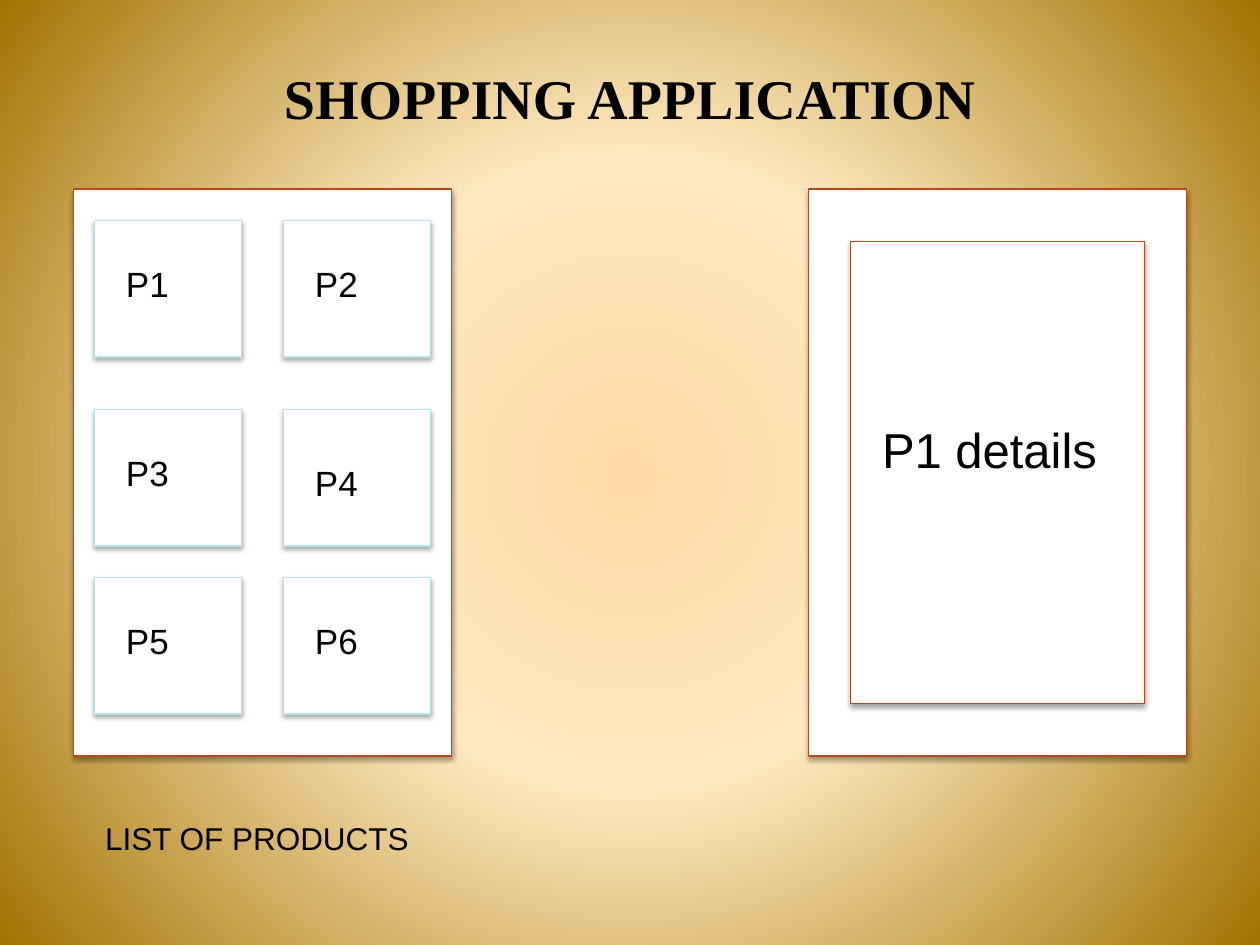
from lxml.etree import SubElement
from pptx import Presentation
from pptx.dml.color import RGBColor
from pptx.enum.shapes import MSO_SHAPE as Shape
from pptx.enum.text import MSO_AUTO_SIZE as AutoSize, PP_ALIGN as Align
from pptx.oxml.ns import qn
from pptx.util import Pt

COLORS = {"white": "FFFFFF", "black": "000000", "rust": "B64A1D", "aqua": "BBE0E3",
          "peach": "FFDAA7", "cream": "FFE9C1", "bronze": "A17302"}
BACKGROUND_STOPS = [(0, "peach"), (40, "cream"), (100, "bronze")]

# Content: all lengths in points
PANELS = [(42, 108, 216, 324), (462, 108, 216, 324), (486, 138, 168, 264)]
PRODUCTS = [("P1", "P2"), ("P3", "P4"), ("P5", "P6")]
CARD_LEFTS, CARD_TOPS, CARD_SIZE = (54, 162), (126, 234, 330), (84, 78)
LABEL_OFFSET, LABEL_SIZE = (18, 24), (42, 22)
LABEL_DROP = {"P4": 6}
TITLE = ("SHOPPING APPLICATION", (126, 36, 468, 37))
CAPTION = ("LIST OF PRODUCTS", (60, 468, 204, 20))
DETAILS = ("P1 details", (504, 240, 168, 31))


def rgb(name):
    return RGBColor.from_string(COLORS[name])


def add_element(parent, tag, **attributes):
    return SubElement(parent, qn(tag), {key: str(value) for key, value in attributes.items()})


def paint_background(slide):
    slide.background.fill.gradient()
    gradient = slide.element.find(".//" + qn("a:gradFill"))
    for child in list(gradient):
        gradient.remove(child)
    stops = add_element(gradient, "a:gsLst")
    for position, color in BACKGROUND_STOPS:
        stop = add_element(stops, "a:gs", pos=position * 1000)
        add_element(stop, "a:srgbClr", val=COLORS[color])
    circle = add_element(gradient, "a:path", path="circle")
    add_element(circle, "a:fillToRect", l=50000, t=50000, r=50000, b=50000)


def add_box(slide, box, line_color):
    shape = slide.shapes.add_shape(Shape.RECTANGLE, *map(Pt, box))
    shape.fill.solid()
    shape.fill.fore_color.rgb = rgb("white")
    shape.line.color.rgb = rgb(line_color)
    shape.line.width = Pt(0.75)
    # Soft shadow straight below
    shape.shadow.inherit = False
    effects = shape.element.spPr.find(qn("a:effectLst"))
    shadow = add_element(effects, "a:outerShdw", blurRad=Pt(3), dist=Pt(1.8),
                         dir=90 * 60000, rotWithShape=0)
    color = add_element(shadow, "a:srgbClr", val=COLORS["black"])
    add_element(color, "a:alpha", val=35000)


def add_text(slide, text, box, size, align=Align.LEFT, **font_format):
    frame = slide.shapes.add_textbox(*map(Pt, box)).text_frame
    frame_format = {"word_wrap": True, "auto_size": AutoSize.SHAPE_TO_FIT_TEXT,
                    "margin_left": 0, "margin_top": 0, "margin_right": 0, "margin_bottom": 0}
    for name, value in frame_format.items():
        setattr(frame, name, value)
    paragraph = frame.paragraphs[0]
    paragraph.alignment = align
    run = paragraph.add_run()
    run.text = text
    for name, value in {"name": "Arial", "size": Pt(size), **font_format}.items():
        setattr(run.font, name, value)
    run.font.color.rgb = rgb("black")


def main():
    presentation = Presentation()
    presentation.slide_width, presentation.slide_height = Pt(720), Pt(540)
    slide = presentation.slides.add_slide(presentation.slide_layouts[6])
    paint_background(slide)

    # Screens
    for panel in PANELS:
        add_box(slide, panel, "rust")

    # Product cards with their labels
    for top, row in zip(CARD_TOPS, PRODUCTS):
        for left, product in zip(CARD_LEFTS, row):
            add_box(slide, (left, top, *CARD_SIZE), "aqua")
            label_left = left + LABEL_OFFSET[0]
            label_top = top + LABEL_OFFSET[1] + LABEL_DROP.get(product, 0)
            add_text(slide, product, (label_left, label_top, *LABEL_SIZE), 20)

    # Title, caption and detail text
    add_text(slide, *CAPTION, 18)
    add_text(slide, *DETAILS, 28)
    add_text(slide, *TITLE, 32, Align.CENTER, name="Times New Roman", bold=True)

    presentation.save("out.pptx")


if __name__ == "__main__":
    main()
